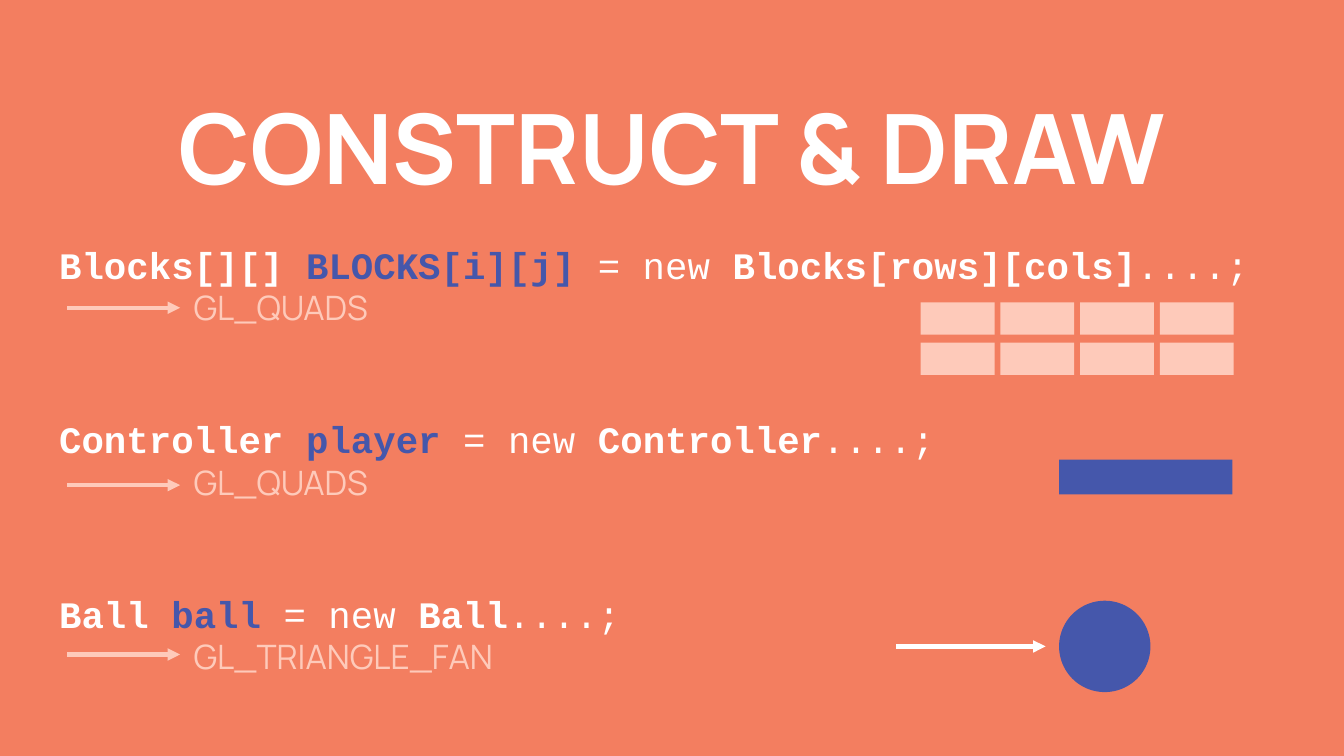
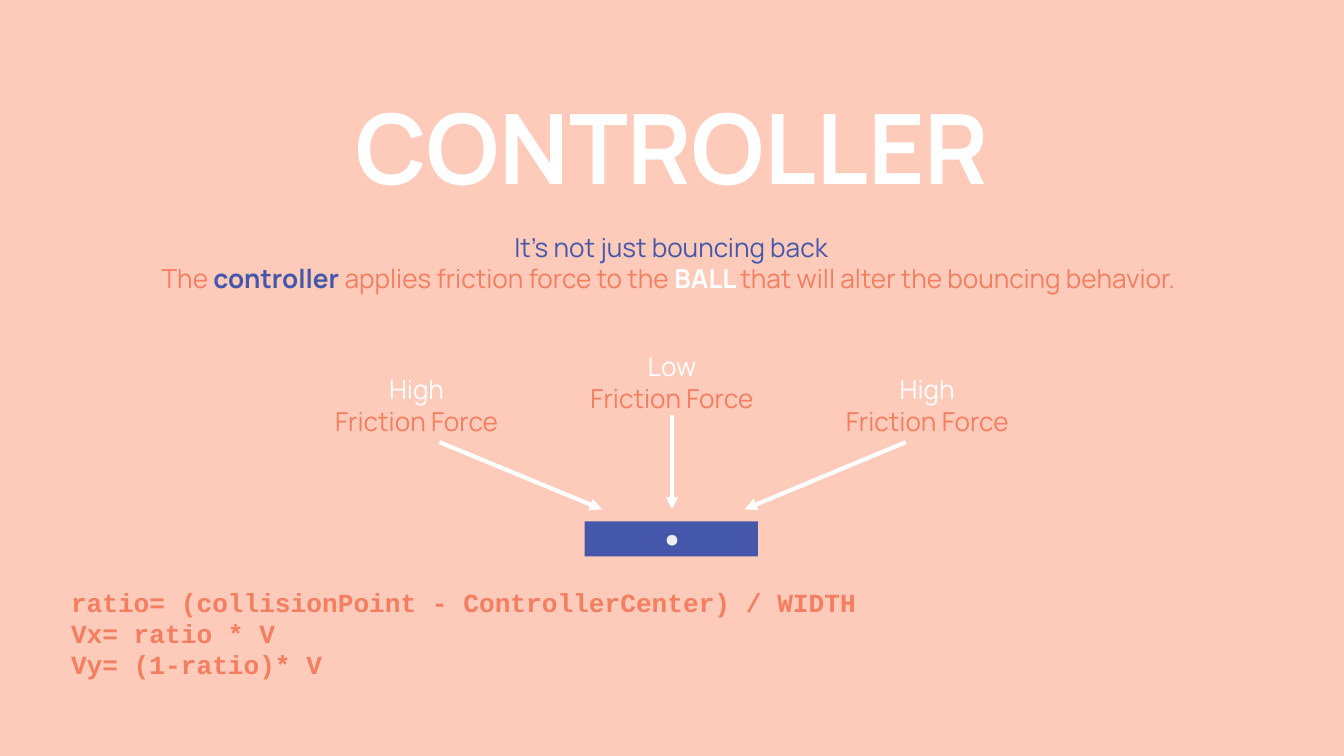
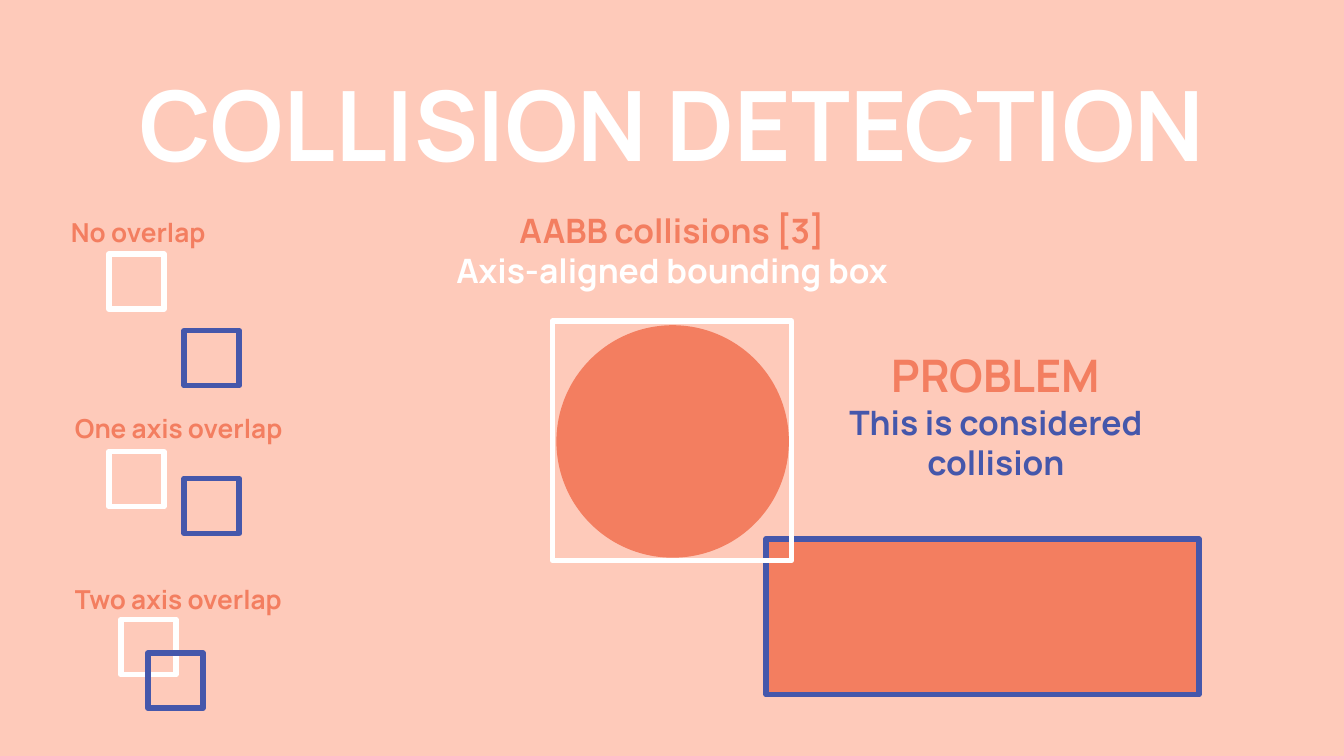
from collections import namedtuple
from dataclasses import dataclass

from lxml.etree import SubElement
from pptx import Presentation
from pptx.dml.color import RGBColor
from pptx.enum.shapes import MSO_CONNECTOR, MSO_SHAPE
from pptx.enum.text import MSO_ANCHOR, MSO_AUTO_SIZE, PP_ALIGN
from pptx.oxml.ns import qn
from pptx.util import Inches, Pt

Box = namedtuple("Box", "left top width height")
Run = namedtuple("Run", "text colour bold", defaults=(None, None))


@dataclass(frozen=True)
class Theme:
    coral: str = "F37E60"
    peach: str = "FECABA"
    blue: str = "4557AB"
    white: str = "FFFFFF"
    dot: str = "EEEEEE"
    display: str = "Manrope"
    code: str = "Courier New"
    title_size: int = 52
    problem_size: int = 24
    code_size: int = 20
    lead_size: int = 18
    text_size: int = 14
    arrow_width: float = 2.25
    outline_width: float = 3


THEME = Theme()


@dataclass
class Line:
    runs: list
    colour: str
    size: float = THEME.text_size
    bold: bool = False
    font: str = THEME.display
    align: PP_ALIGN = PP_ALIGN.CENTER
    indent: float = 0
    space_before: float = 0


def rgb(colour):
    return RGBColor.from_string(colour)


def inset(box, left, top, width, height):
    return Box(box.left + left, box.top + top, width, height)


def place(shape, box):
    shape.left, shape.top, shape.width, shape.height = map(Inches, box)


def write_line(paragraph, line):
    paragraph.alignment = line.align
    paragraph.line_spacing = 1.0
    paragraph.space_before = Pt(line.space_before)
    paragraph.space_after = Pt(0)
    if line.indent:
        properties = paragraph._p.get_or_add_pPr()
        properties.set("marL", str(Inches(line.indent)))
        properties.set("indent", str(Inches(line.indent)))
    font = paragraph.font
    font.name, font.size, font.bold = line.font, Pt(line.size), line.bold
    font.color.rgb = rgb(line.colour)
    for part in line.runs:
        run = paragraph.add_run()
        run.text = part.text
        if part.bold is not None:
            run.font.bold = part.bold
        if part.colour:
            run.font.color.rgb = rgb(part.colour)


def fill_text(shape, box, lines, anchor=MSO_ANCHOR.TOP):
    place(shape, box)
    frame = shape.text_frame
    frame.word_wrap = True
    frame.auto_size = MSO_AUTO_SIZE.NONE
    frame.vertical_anchor = anchor
    frame.margin_left = frame.margin_right = Inches(0.1)
    frame.margin_top = frame.margin_bottom = Inches(0.1)
    for number, line in enumerate(lines):
        paragraph = frame.add_paragraph() if number else frame.paragraphs[0]
        write_line(paragraph, line)


def add_text(slide, box, lines):
    fill_text(slide.shapes.add_textbox(*map(Inches, box)), box, lines)


def add_figure(shapes, kind, box, fill=None, outline=None):
    shape = shapes.add_shape(kind, *map(Inches, box))
    shape.shadow.inherit = False
    if fill:
        shape.fill.solid()
        shape.fill.fore_color.rgb = rgb(fill)
    else:
        shape.fill.background()
    if outline:
        shape.line.color.rgb = rgb(outline)
        shape.line.width = Pt(THEME.outline_width)
        SubElement(shape.line._get_or_add_ln(), qn("a:round"))
    else:
        shape.line.fill.background()


def add_arrow(slide, start, end, colour):
    arrow = slide.shapes.add_connector(
        MSO_CONNECTOR.STRAIGHT, *map(Inches, (*start, *end)))
    arrow.line.color.rgb = rgb(colour)
    arrow.line.width = Pt(THEME.arrow_width)
    SubElement(arrow.line._get_or_add_ln(), qn("a:tailEnd"), type="triangle")
    SubElement(arrow._element.spPr, qn("a:effectLst"))


def start_slide(presentation, title, background, title_top=0.31):
    slide = presentation.slides.add_slide(presentation.slide_layouts[0])
    slide.background.fill.solid()
    slide.background.fill.fore_color.rgb = rgb(background)
    heading = Line([Run(title)], THEME.white, THEME.title_size, True)
    fill_text(slide.shapes.title, Box(0.34, title_top, 9.32, 1.31),
              [heading], MSO_ANCHOR.BOTTOM)
    return slide


def code_listing(slide, box):
    declarations = [
        ("Blocks[][] ", "BLOCKS[i][j]", "Blocks[rows][cols]", "GL_QUADS"),
        ("Controller ", "player", "Controller", "GL_QUADS"),
        ("Ball ", "ball", "Ball", "GL_TRIANGLE_FAN"),
    ]
    lines = []
    for kind, variable, constructor, primitive in declarations:
        lines.append(Line(
            [Run(kind, bold=True), Run(variable, THEME.blue, True), Run(" = new "),
             Run(constructor, bold=True), Run("....;")],
            THEME.white, THEME.code_size, font=THEME.code, align=PP_ALIGN.LEFT,
            space_before=48 if lines else 0))
        lines.append(Line([Run(primitive)], THEME.peach, THEME.lead_size,
                          align=PP_ALIGN.LEFT, indent=0.5))
    fill_text(slide.placeholders[1], box, lines)
    for offset in (0.59, 1.91, 3.17):
        height = box.top + offset
        add_arrow(slide, (box.left + 0.16, height), (box.left + 1, height), THEME.peach)


def block_grid(slide, box, rows=2, columns=4):
    width, height = 0.55, 0.24
    column_step = (box.width - width) / (columns - 1)
    row_step = (box.height - height) / (rows - 1)
    group = slide.shapes.add_group_shape()
    for row in range(rows):
        for column in range(columns):
            block = inset(box, column * column_step, row * row_step, width, height)
            add_figure(group.shapes, MSO_SHAPE.RECTANGLE, block, THEME.peach)


def paddle(slide, box):
    add_figure(slide.shapes, MSO_SHAPE.RECTANGLE, box, THEME.blue)


def thrown_ball(slide, box):
    add_figure(slide.shapes, MSO_SHAPE.OVAL, box, THEME.blue)
    middle = box.top + box.height / 2
    add_arrow(slide, (box.left - 1.21, middle), (box.left - 0.1, middle), THEME.white)


def construct_slide(presentation):
    slide = start_slide(presentation, "CONSTRUCT & DRAW", THEME.coral)
    code_listing(slide, Box(0.34, 1.7, 9.32, 3.33))
    block_grid(slide, Box(6.85, 2.25, 2.33, 0.54))
    paddle(slide, Box(7.88, 3.42, 1.29, 0.26))
    thrown_ball(slide, Box(7.88, 4.47, 0.68, 0.68))


def controller_statement(slide, box):
    fill_text(slide.placeholders[1], box, [
        Line([Run("It’s not just bouncing back")], THEME.blue),
        Line([Run("The "), Run("controller ", THEME.blue, True),
              Run("applies friction force to the "), Run("BALL ", THEME.white, True),
              Run("that will alter the bouncing behavior. ")], THEME.coral),
    ])


def friction_diagram(slide, box):
    label_width = box.width / 3
    for column, (level, drop) in enumerate([("High", 0.17), ("Low", 0), ("High", 0.17)]):
        label = inset(box, column * label_width, drop, label_width, 0.64)
        add_text(slide, label, [Line([Run(level)], THEME.white),
                                Line([Run("Friction Force")], THEME.coral)])
    center = box.left + box.width / 2
    paddle(slide, Box(center - 0.65, box.top + 1.37, 1.29, 0.26))
    add_figure(slide.shapes, MSO_SHAPE.OVAL,
               Box(center - 0.04, box.top + 1.47, 0.08, 0.08), THEME.dot)
    for start, end, drop in [(-1.73, -0.52, 0.78), (0, 0, 0.58), (1.74, 0.54, 0.78)]:
        add_arrow(slide, (center + start, box.top + drop),
                  (center + end, box.top + 1.28), THEME.white)


def velocity_formulas(slide, box):
    formulas = ["ratio= (collisionPoint - ControllerCenter) / WIDTH",
                "Vx= ratio * V", "Vy= (1-ratio)* V"]
    add_text(slide, box, [
        Line([Run(formula)], THEME.coral, bold=True, font=THEME.code,
             align=PP_ALIGN.JUSTIFY) for formula in formulas])


def controller_slide(presentation):
    slide = start_slide(presentation, "CONTROLLER", THEME.peach)
    controller_statement(slide, Box(0.5, 1.62, 8.99, 0.79))
    friction_diagram(slide, Box(2.15, 2.51, 5.7, 1.63))
    velocity_formulas(slide, Box(0.43, 4.26, 6.79, 1.1))


def overlap_case(slide, box, caption, align, white_offset, blue_offset):
    add_text(slide, box, [Line([Run(caption)], THEME.coral, bold=True, align=align)])
    for offset, colour in [(white_offset, THEME.white), (blue_offset, THEME.blue)]:
        add_figure(slide.shapes, MSO_SHAPE.RECTANGLE,
                   inset(box, *offset, 0.41, 0.41), outline=colour)


def bounding_box_scene(slide, box):
    add_figure(slide.shapes, MSO_SHAPE.RECTANGLE,
               inset(box, 1.59, 1.62, 3.22, 1.16), THEME.coral, THEME.blue)
    add_figure(slide.shapes, MSO_SHAPE.OVAL,
               inset(box, 0.03, 0.03, box.width - 0.05, box.height - 0.05), THEME.coral)
    add_figure(slide.shapes, MSO_SHAPE.RECTANGLE, box, outline=THEME.white)


def collision_slide(presentation):
    slide = start_slide(presentation, "COLLISION DETECTION", THEME.peach, 0.14)
    fill_text(slide.placeholders[1], Box(2.14, 1.46, 5.72, 0.83), [
        Line([Run("AABB collisions [3]")], THEME.coral, THEME.lead_size, True),
        Line([Run("Axis-aligned bounding box")], THEME.white, THEME.lead_size, True),
    ])
    bounding_box_scene(slide, Box(4.11, 2.39, 1.78, 1.78))
    overlap_case(slide, Box(0.43, 1.51, 1.36, 0.31), "No overlap",
                 PP_ALIGN.JUSTIFY, (0.38, 0.38), (0.94, 0.95))
    overlap_case(slide, Box(0.46, 2.97, 1.83, 0.31), "One axis overlap",
                 PP_ALIGN.LEFT, (0.35, 0.39), (0.91, 0.59))
    overlap_case(slide, Box(0.46, 4.24, 1.83, 0.31), "Two axis overlap",
                 PP_ALIGN.LEFT, (0.44, 0.37), (0.64, 0.62))
    add_text(slide, Box(6.17, 2.49, 2.48, 1.31), [
        Line([Run("PROBLEM")], THEME.coral, THEME.problem_size, True),
        Line([Run("This is considered collision")], THEME.blue, THEME.lead_size, True),
    ])


def main():
    presentation = Presentation()
    presentation.slide_width = Inches(10)
    presentation.slide_height = Inches(10) * 9 // 16
    construct_slide(presentation)
    controller_slide(presentation)
    collision_slide(presentation)
    presentation.save("out.pptx")


if __name__ == "__main__":
    main()
